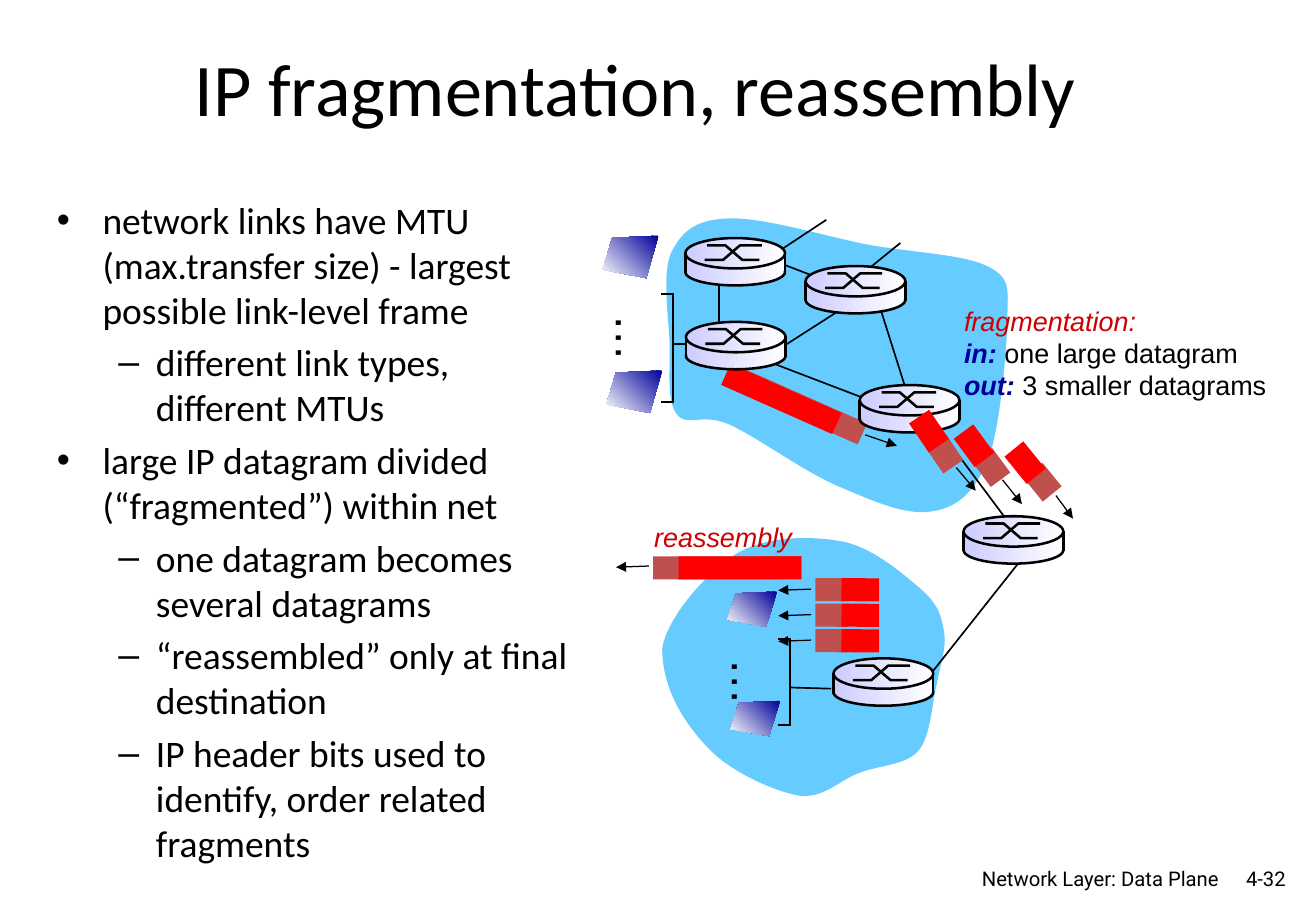
from lxml import etree
from pptx import Presentation
from pptx.dml.color import RGBColor
from pptx.enum.shapes import MSO_CONNECTOR, MSO_SHAPE
from pptx.enum.text import MSO_ANCHOR, MSO_AUTO_SIZE, PP_ALIGN
from pptx.oxml.ns import qn
from pptx.util import Inches, Pt

LEFT, CENTER, RIGHT = PP_ALIGN.LEFT, PP_ALIGN.CENTER, PP_ALIGN.RIGHT
TOP, MIDDLE = MSO_ANCHOR.TOP, MSO_ANCHOR.MIDDLE
GROW, FIXED = MSO_AUTO_SIZE.SHAPE_TO_FIT_TEXT, MSO_AUTO_SIZE.NONE
ELLIPSE, RECTANGLE = MSO_SHAPE.OVAL, MSO_SHAPE.RECTANGLE
LINE, OUTLINE, CURVE = "line", "outline", "curve"

THEME = {
    "black": "000000", "cloud": "66CCFF", "header": "C0504D", "payload": "FF0000",
    "router": ("CCCCFF", "FFFFFF"), "host": ("000099", "FFFFFF"),
    "heading": "CC0000", "keyword": "000099",
    "title_size": 44, "body_size": 22.2, "label_size": 16, "dots_size": 28, "footer_size": 12,
    "body_font": "Calibri", "label_font": "Arial", "footer_font": "Roboto",
}
# All lengths count cells of a square grid, 108.3 columns by 75 rows
CELL = Inches(0.1)

presentation = Presentation()
presentation.slide_width, presentation.slide_height = round(108.3 * CELL), 75 * CELL
slide = presentation.slides.add_slide(presentation.slide_layouts[6])


def add_text(paragraphs, box, size, font, color=THEME["black"], align=LEFT, anchor=TOP,
             wrap=True, rotation=0, italic=False, levels=None):
    """Each paragraph is a list of (text, color, bold, italic) runs or a plain string."""
    shape = slide.shapes.add_textbox(*[round(value * CELL) for value in box])
    shape.rotation = rotation
    frame = shape.text_frame
    frame.word_wrap, frame.vertical_anchor = wrap, anchor
    frame.auto_size = FIXED if wrap else GROW
    for index, runs in enumerate(paragraphs):
        paragraph = frame.add_paragraph() if index else frame.paragraphs[0]
        paragraph.alignment = align
        if levels:
            paragraph.level = levels[index]
            paragraph.line_spacing = Pt(26.7)
            if index:
                paragraph.space_before = Pt(0.2 * size)
            margin, hanging, mark = ((3.75, 3.75, "•"), (8.15, 3.1, "–"))[levels[index]]
            properties = paragraph._p.get_or_add_pPr()
            properties.set("marL", str(round(margin * CELL)))
            properties.set("indent", str(round(-hanging * CELL)))
            etree.SubElement(properties, qn("a:buFont")).set("typeface", "Arial")
            etree.SubElement(properties, qn("a:buChar")).set("char", mark)
        if isinstance(runs, str):
            runs = [(runs, color, False, italic)]
        for text, run_color, bold, run_italic in runs:
            run = paragraph.add_run()
            run.text = text
            run.font.size, run.font.name = Pt(size), font
            run.font.bold, run.font.italic = bold, run_italic
            run.font.color.rgb = RGBColor.from_string(run_color)


def draw(kind, geometry, fill=None, width=0, angle=0, rotation=0, arrow=False):
    """Geometry is a box for preset shapes and a list of points otherwise."""
    if kind == LINE:
        ends = [round(value * CELL) for point in geometry for value in point]
        shape = slide.shapes.add_connector(MSO_CONNECTOR.STRAIGHT, *ends)
    elif kind in (OUTLINE, CURVE):
        points = [(round(x * CELL), round(y * CELL)) for x, y in geometry]
        builder = slide.shapes.build_freeform(*points[0])
        builder.add_line_segments(points[1:], close=fill is not None)
        shape = builder.convert_to_shape()
    else:
        shape = slide.shapes.add_shape(kind, *[round(value * CELL) for value in geometry])
    if width:
        shape.line.width = Pt(width)
        shape.line.fill.solid()
        shape.line.color.rgb = RGBColor.from_string(THEME["black"])
    else:
        shape.line.fill.background()
    properties = shape.element.spPr
    if kind == CURVE:
        # Every three straight segments become one cubic curve
        segments = list(properties.iter(qn("a:lnTo")))
        for first in range(0, len(segments), 3):
            curve = etree.Element(qn("a:cubicBezTo"))
            segments[first].addprevious(curve)
            for segment in segments[first:first + 3]:
                curve.append(segment[0])
                segment.getparent().remove(segment)
    if kind == LINE:
        if arrow:
            etree.SubElement(properties.find(qn("a:ln")), qn("a:tailEnd")).set("type", "triangle")
        etree.SubElement(properties, qn("a:effectLst"))
        return
    shape.shadow.inherit = False
    shape.rotation = rotation
    if fill is None:
        shape.fill.background()
    elif isinstance(fill, tuple):
        shape.fill.gradient()
        shape.fill.gradient_angle = angle
        for stop, stop_color in zip(shape.fill.gradient_stops, fill):
            stop.color.rgb = RGBColor.from_string(stop_color)
    else:
        shape.fill.solid()
        shape.fill.fore_color.rgb = RGBColor.from_string(fill)


# Title, bullets and footer
add_text(["IP fragmentation, reassembly"], (6.25, 2.05, 92.1, 10.2), THEME["title_size"],
         THEME["body_font"], align=CENTER, anchor=MIDDLE)
add_text(["network links have MTU (max.transfer size) - largest possible link-level frame",
          "different link types, different MTUs",
          "large IP datagram divided (“fragmented”) within net",
          "one datagram becomes several datagrams",
          "“reassembled” only at final destination",
          "IP header bits used to identify, order related fragments"],
         (3.7, 15.7, 45.1, 55.7), THEME["body_size"], THEME["body_font"],
         levels=[0, 1, 0, 1, 1, 1])
for text, box, anchor in (("Network Layer: Data Plane", (75.5, 70.8, 25.8, 2.6), TOP),
                          ("4-32", (100.1, 70.8, 6.7, 3), MIDDLE)):
    add_text([text], box, THEME["footer_size"], THEME["footer_font"], align=RIGHT, anchor=anchor)

# Network clouds: a start point, then two control points and an end for each curve
sending_cloud = [
    (59.8, 18), (57.1, 18.1), (56, 19.2), (55.2, 20.9), (54.5, 22.6), (55, 25.9), (55.1, 28.1),
    (55.2, 30.3), (54.8, 33), (55.7, 34.1), (56.5, 35.2), (57.7, 34), (59.9, 34.9),
    (62.2, 35.9), (66.1, 38.8), (68.9, 40), (71.7, 41.2), (74.6, 42.5), (76.7, 42.1),
    (78.8, 41.8), (80.2, 40.5), (81.3, 37.9), (82.3, 35.3), (82.8, 29.2), (82.9, 26.6),
    (82.9, 23.9), (83.3, 23), (81.4, 22), (79.4, 20.9), (74.8, 20.8), (71.2, 20.1),
    (67.7, 19.4), (62.5, 17.8), (59.8, 18)]
receiving_cloud = [
    (54.5, 53.4), (54.9, 50.8), (58.2, 47.1), (60.6, 45.6), (63.1, 44.1), (66.8, 44.1),
    (69.4, 44.6), (71.9, 45.1), (74.5, 47.4), (75.9, 48.6), (77.3, 49.9), (77.5, 50.8),
    (77.7, 52.1), (77.9, 53.4), (77.4, 54.6), (77.1, 56.3), (76.7, 57.9), (76.6, 60.6),
    (75.6, 61.8), (74.6, 63), (72.4, 63), (70.8, 63.6), (69.1, 64.2), (67.8, 65.8),
    (65.7, 65.5), (63.6, 65.1), (60, 63.5), (58.2, 61.5), (56.3, 59.5), (54.5, 56.7), (54.5, 53.4)]
for cloud in (sending_cloud, receiving_cloud):
    draw(CURVE, cloud, THEME["cloud"])

# Links between routers
for link in (((55.3, 28.3), (56.8, 28.3)), ((62.2, 20.9), (70, 23.9)), ((72.2, 24.6), (74.5, 31.9)),
             ((59.2, 22.1), (59.2, 28.5)), ((62, 29.3), (73.5, 33.7)), ((82.7, 42.6), (77.1, 35.1)),
             ((71.2, 24.2), (62.3, 29.9)), ((68, 18.1), (62.4, 21.8)), ((74.1, 20), (70.9, 22.6)),
             ((84.1, 46), (76.5, 55.6)), ((65, 56.6), (68.4, 56.7))):
    draw(LINE, link, width=1)

# Datagrams as (rotation, header box, payload box, arrow); routers by top left corner
large_datagrams = [
    (23.9, (59.3, 32.3, 12.2, 1.9), (59.3, 31.9, 10, 1.9), ((71.2, 35.8), (73.8, 36.7))),
    (179.9, (53.75, 45.8, 12.2, 1.9), (55.85, 45.8, 10.1, 1.9), ((53.4, 46.6), (50.7, 46.7)))]
arriving_fragments = [
    (180.4, (67.1, y, 2.7, 1.9), (69.25, y, 3.1, 1.9), ((66.75, y + 0.9), (64.05, y + 1)))
    for y in (47.6 + 2.1 * row for row in range(3))]
departing_fragments = [
    (55.8, (76.5, 36.4, 2.5, 2), (75, 34.5, 2.9, 2), ((78.7, 38.5), (80.3, 40.4))),
    (53.6, (80.35, 37.5, 2.5, 2), (78.7, 35.7, 2.9, 2), ((82.5, 39.5), (84.1, 41.5))),
    (50.9, (84.55, 38.7, 2.5, 2), (82.9, 37.1, 2.9, 2), ((86.9, 40.8), (88.3, 42.7)))]
routers = [(70.75, 31.7), (56.4, 19.6), (56.45, 26.5), (66.3, 21.9), (79.3, 42.5), (68.6, 54.2)]

# Departing fragments lie above the routers, all other datagrams below
for datagrams, routers_above in ((large_datagrams + arriving_fragments, routers),
                                 (departing_fragments, [])):
    for rotation, header, payload, arrow in datagrams:
        draw(RECTANGLE, header, THEME["header"], rotation=rotation)
        draw(RECTANGLE, payload, THEME["payload"], rotation=rotation)
        draw(LINE, arrow, width=0.75, arrow=True)
    for x, y in routers_above:
        draw(ELLIPSE, (x, y + 1.7, 8.2, 2.2), THEME["router"], width=1.5)
        draw(RECTANGLE, (x, y + 1.45, 8.2, 1.3), THEME["router"])
        draw(ELLIPSE, (x, y, 8.2, 2.5), THEME["router"], width=1.5)
        for columns, start, end in (((1.6, 3.1, 4.5, 6.3), 1.8, 0.6), ((1.8, 3.3, 4.7, 6.1), 0.6, 1.8)):
            draw(OUTLINE, [(x + column, y + row)
                           for column, row in zip(columns, (start, start, end, end))], width=1.5)
        for side in (x, x + 8.2):
            draw(LINE, ((side, y + 1.2), (side, y + 2.9)), width=1.5)

# Local networks: bracket corner and height, host corners, host size, box of the dots
for (x, y), height, hosts, (host_width, host_height), dots in (
        ((54.4, 24.2), 8.9, ((49.6, 19.4), (49.9, 30.5)), (4.6, 3.5), (49.2, 25.1, 6, 5.7)),
        ((64, 52.6), 7.1, ((59.85, 48.7), (60.1, 57.7)), (4.1, 2.9), (58.8, 53.3, 5.9, 5.7))):
    for row in (y, y + height):
        draw(LINE, ((x, row), (x + 1.1, row)), width=1.5)
    draw(LINE, ((x + 1, y), (x + 1, y + height)), width=1)
    for left, top in hosts:
        corners = ((1, 0), (0.17, 0.05), (0, 0.8), (0.78, 1))
        draw(OUTLINE, [(left + across * host_width, top + down * host_height)
                       for across, down in corners], THEME["host"], angle=225)
    add_text(["…"], dots, THEME["dots_size"], THEME["label_font"], wrap=False, rotation=90)

# Labels
add_text(["reassembly"], (52.85, 42.35, 13.5, 3.7), THEME["label_size"], THEME["label_font"],
         THEME["heading"], wrap=False, italic=True)
add_text([[("fragmentation:", THEME["heading"], False, True)]] +
         [[(keyword, THEME["keyword"], True, True), (text, THEME["black"], False, False)]
          for keyword, text in (("in:", " one large datagram"), ("out:", " 3 smaller datagrams"))],
         (78.35, 24.55, 27.2, 9.1), THEME["label_size"], THEME["label_font"], wrap=False)

presentation.save("out.pptx")
